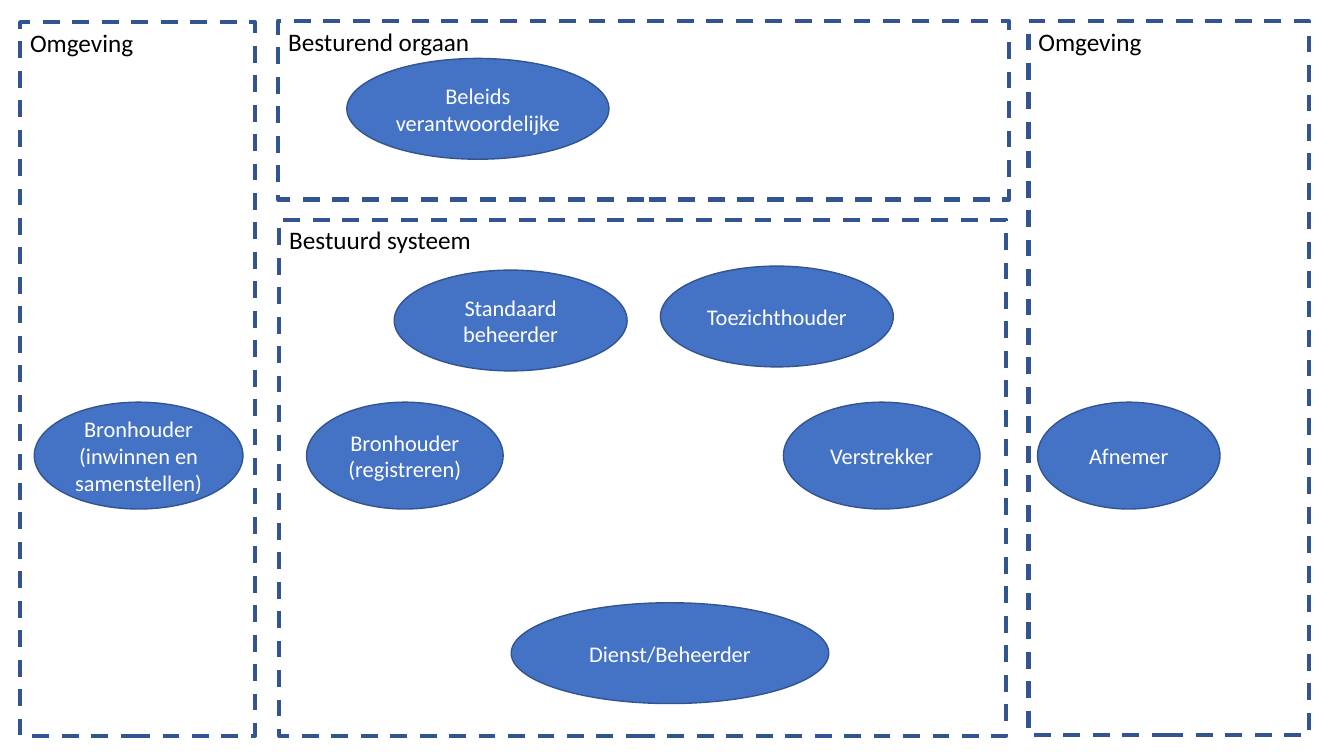
from pptx import Presentation
from pptx.dml.color import RGBColor
from pptx.enum.dml import MSO_LINE
from pptx.enum.shapes import MSO_SHAPE
from pptx.enum.text import MSO_ANCHOR, PP_ALIGN
from pptx.util import Inches, Pt

FONT = "Calibri"
BLUE, EDGE, WHITE, BLACK = "4472C4", "325491", "FFFFFF", "000000"

OUTER_ROLES = [
    ("Dienst/Beheerder", 5.07, 5.98, 3.15, 1),
    ("Afnemer", 10.29, 3.99, 1.81, 1.06),
    ("Bronhouder (inwinnen en samenstellen)", 0.34, 3.99, 2.07, 1.06),
    ("Beleids verantwoordelijke", 3.44, 0.58, 2.6, 1),
]
ZONES = [
    ("Bestuurd systeem", 2.77, 2.18, 7.21, 5.12),
    ("Besturend orgaan", 2.76, 0.21, 7.25, 1.77),
    ("Omgeving", 0.2, 0.22, 2.33, 7.08),
    ("Omgeving", 10.2, 0.21, 2.78, 7.08),
]
SYSTEM_ROLES = [
    ("Verstrekker", 7.77, 3.99, 1.95, 1.06),
    ("Bronhouder (registreren)", 3.04, 3.99, 1.95, 1.06),
    ("Toezichthouder", 6.55, 2.64, 2.31, 1),
    ("Standaard beheerder", 3.91, 2.68, 2.31, 1),
]


def color(value):
    return RGBColor.from_string(value)


def add_labelled(page, preset, item, line_width, size, text_color, anchor, align):
    text, *place = item
    shape = page.shapes.add_shape(preset, *map(Inches, place))
    shape.shadow.inherit = False
    shape.line.color.rgb = color(EDGE)
    shape.line.width = Pt(line_width)
    frame = shape.text_frame
    frame.word_wrap = True
    frame.vertical_anchor = anchor
    para = frame.paragraphs[0]
    para.text = text
    para.alignment = align
    para.font.name = FONT
    para.font.size = Pt(size)
    para.font.color.rgb = color(text_color)
    return shape


def add_role(page, item):
    oval = add_labelled(page, MSO_SHAPE.OVAL, item, 1, 16, WHITE,
                        MSO_ANCHOR.MIDDLE, PP_ALIGN.CENTER)
    oval.fill.solid()
    oval.fill.fore_color.rgb = color(BLUE)


def add_zone(page, item):
    zone = add_labelled(page, MSO_SHAPE.RECTANGLE, item, 3, 18, BLACK,
                        MSO_ANCHOR.TOP, PP_ALIGN.LEFT)
    zone.fill.background()
    zone.line.dash_style = MSO_LINE.DASH


def main():
    deck = Presentation()
    deck.slide_width, deck.slide_height = Inches(13.33), Inches(7.5)
    page = deck.slides.add_slide(deck.slide_layouts[6])
    for add, items in ((add_role, OUTER_ROLES), (add_zone, ZONES),
                       (add_role, SYSTEM_ROLES)):
        for item in items:
            add(page, item)
    deck.save("out.pptx")


if __name__ == "__main__":
    main()
